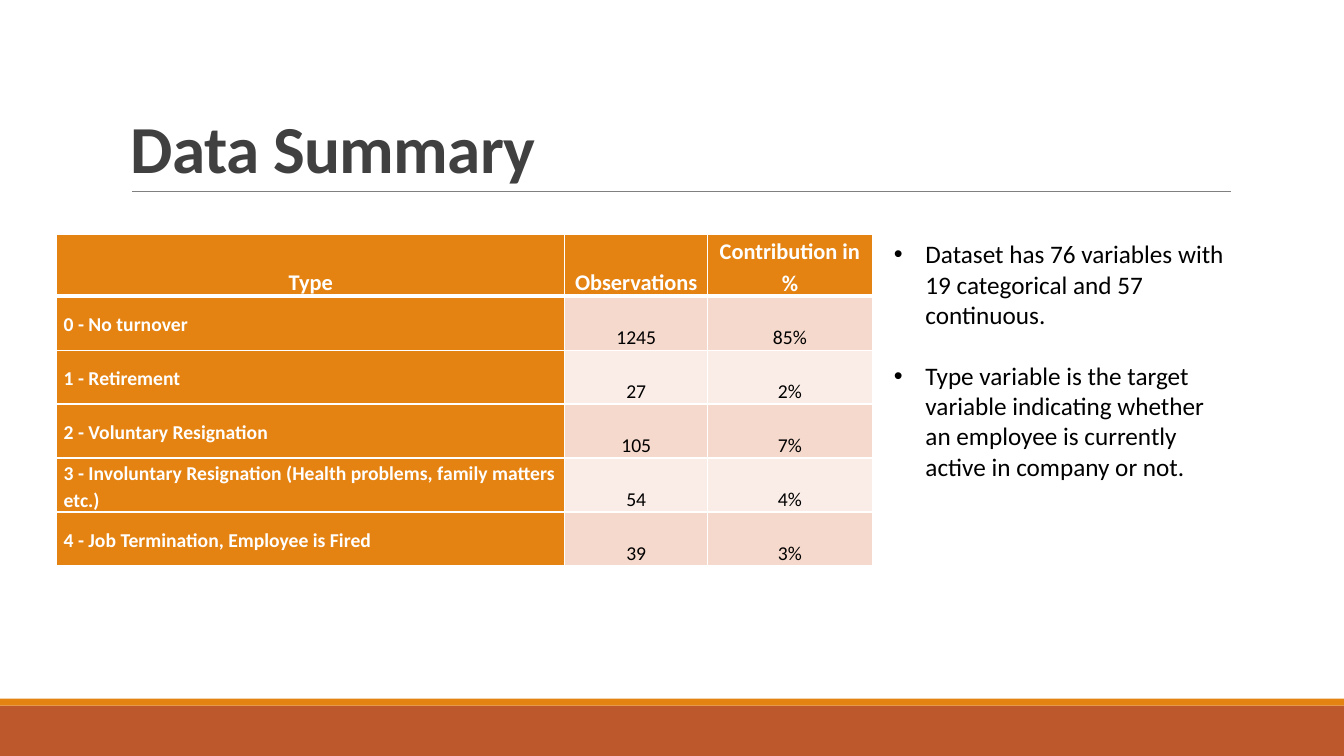
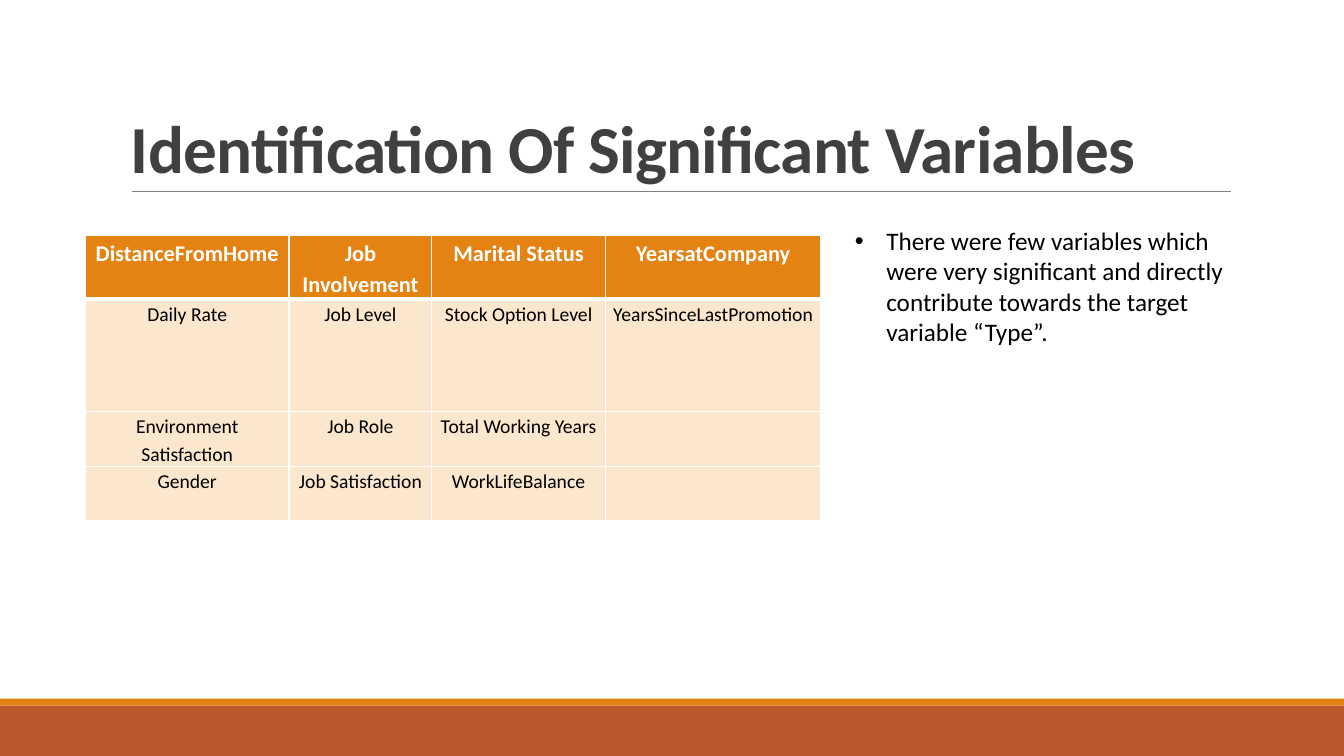
"""Build two slides on employee turnover data, each with a table and bullet points."""

from dataclasses import dataclass

from lxml import etree
from pptx import Presentation
from pptx.dml.color import RGBColor
from pptx.enum.shapes import MSO_CONNECTOR, MSO_SHAPE
from pptx.enum.text import MSO_ANCHOR, PP_ALIGN
from pptx.oxml.ns import qn
from pptx.util import Emu, Pt

RECTANGLE = MSO_SHAPE.RECTANGLE
STRAIGHT = MSO_CONNECTOR.STRAIGHT
TOP, MIDDLE, BOTTOM = MSO_ANCHOR.TOP, MSO_ANCHOR.MIDDLE, MSO_ANCHOR.BOTTOM
LEFT, CENTER = PP_ALIGN.LEFT, PP_ALIGN.CENTER
EMU_PER_PX = 6350
SLIDE_WIDTH, SLIDE_HEIGHT = 1920, 1080
BULLET_INDENT = 45
CELL_INSET = 10


@dataclass(frozen=True)
class Theme:
    font: str = "Calibri"
    accent: str = "E48312"
    footer: str = "BD582C"
    rule: str = "808080"
    title: str = "404040"
    text: str = "000000"
    white: str = "FFFFFF"
    rose: str = "F5D9CC"
    pale_rose: str = "FAEDE7"
    cream: str = "FBE6CE"
    title_size: int = 48
    bullet_size: int = 18
    header_size: int = 16
    cell_size: int = 14
    rule_width: float = 0.5
    border: int = 1
    header_border: int = 3


THEME = Theme()


@dataclass(frozen=True)
class Box:
    left: int
    top: int
    width: int
    height: int


@dataclass(frozen=True)
class TableContent:
    left: int
    top: int
    widths: tuple[int, ...]
    heights: tuple[int, ...]
    rows: tuple[tuple[str, ...], ...]
    bands: tuple[str, ...]
    anchor: MSO_ANCHOR = TOP
    row_headers: bool = False


@dataclass(frozen=True)
class SlideContent:
    title: str
    table: TableContent
    bullet_box: Box
    bullets: tuple[str, ...]


TITLE_BOX = Box(173, 45, 1584, 229)
BANDS = (
    (Box(0, 1008, SLIDE_WIDTH, 72), THEME.footer),
    (Box(0, 998, SLIDE_WIDTH, 10), THEME.accent),
)

SLIDES = (
    SlideContent(
        title="Data Summary",
        table=TableContent(
            left=81,
            top=335,
            widths=(726, 204, 235),
            heights=(77,) * 6,
            rows=(
                ("Type", "Observations", "Contribution in %"),
                ("0 - No turnover", "1245", "85%"),
                ("1 - Retirement", "27", "2%"),
                ("2 - Voluntary Resignation", "105", "7%"),
                ("3 - Involuntary Resignation (Health problems, family matters etc.)", "54", "4%"),
                ("4 - Job Termination, Employee is Fired", "39", "3%"),
            ),
            bands=(THEME.rose, THEME.pale_rose),
            anchor=BOTTOM,
            row_headers=True,
        ),
        bullet_box=Box(1263, 334, 514, 363),
        bullets=(
            "Dataset has 76 variables with 19 categorical and 57 continuous.",
            "Type variable is the target variable indicating whether an employee "
            "is currently active in company or not.",
        ),
    ),
    SlideContent(
        title="Identification Of Significant Variables",
        table=TableContent(
            left=122,
            top=337,
            widths=(291, 204, 248, 308),
            heights=(90, 161, 78, 78),
            rows=(
                ("DistanceFromHome", "Job Involvement", "Marital Status", "YearsatCompany"),
                ("Daily Rate", "Job Level", "Stock Option Level", "YearsSinceLastPromotion"),
                ("Environment Satisfaction", "Job Role", "Total Working Years", ""),
                ("Gender", "Job Satisfaction", "WorkLifeBalance", ""),
            ),
            bands=(THEME.cream,),
        ),
        bullet_box=Box(1207, 315, 563, 189),
        bullets=(
            "There were few variables which were very significant and directly "
            "contribute towards the target variable “Type”.",
        ),
    ),
)


def px(length: int) -> Emu:
    """Turn a length in px into EMU."""
    return Emu(length * EMU_PER_PX)


def place(box: Box) -> tuple[Emu, ...]:
    """Give the left, top, width and height of a box in EMU."""
    return px(box.left), px(box.top), px(box.width), px(box.height)


def write_text(
    paragraph,
    text: str,
    *,
    size: int,
    color: str = THEME.text,
    bold: bool = False,
    align: PP_ALIGN = LEFT,
    line_spacing: float = 1.0,
    tracking: int = 0,
) -> None:
    """Write one formatted run into a paragraph."""
    paragraph.alignment = align
    paragraph.line_spacing = line_spacing
    run = paragraph.add_run()
    run.text = text
    run.font.name = THEME.font
    run.font.size = Pt(size)
    run.font.bold = bold
    run.font.color.rgb = RGBColor.from_string(color)
    if tracking:
        run.font._element.set("spc", str(tracking))


def add_text_frame(slide, box: Box, anchor: MSO_ANCHOR = TOP):
    """Add a wrapping text box and return its text frame."""
    frame = slide.shapes.add_textbox(*place(box)).text_frame
    frame.word_wrap = True
    frame.vertical_anchor = anchor
    return frame


def add_frame(slide, title: str) -> None:
    """Draw the bands, the rule and the title that every slide shares."""
    for box, color in BANDS:
        band = slide.shapes.add_shape(RECTANGLE, *place(box))
        band.shadow.inherit = False
        band.fill.solid()
        band.fill.fore_color.rgb = RGBColor.from_string(color)
        band.line.fill.background()
    rule = slide.shapes.add_connector(STRAIGHT, px(189), px(273), px(1758), px(273))
    rule.line.color.rgb = RGBColor.from_string(THEME.rule)
    rule.line.width = Pt(THEME.rule_width)
    etree.SubElement(rule._element.spPr, qn("a:effectLst"))
    write_text(
        add_text_frame(slide, TITLE_BOX, BOTTOM).paragraphs[0],
        title,
        size=THEME.title_size,
        color=THEME.title,
        bold=True,
        line_spacing=0.85,
        tracking=-50,
    )


def set_borders(cell, top: int, bottom: int) -> None:
    """Give a cell white borders, with top and bottom widths in points."""
    properties = cell._tc.get_or_add_tcPr()
    widths = {"L": THEME.border, "R": THEME.border, "T": top, "B": bottom}
    for position, (side, width) in enumerate(widths.items()):
        line = etree.Element(qn(f"a:ln{side}"), w=str(Pt(width)))
        fill = etree.SubElement(line, qn("a:solidFill"))
        etree.SubElement(fill, qn("a:srgbClr"), val=THEME.white)
        properties.insert(position, line)


def fill_cell(cell, content: TableContent, row: int, column: int) -> None:
    """Write and format one table cell according to its row and column."""
    is_header = row == 0
    is_row_header = content.row_headers and column == 0 and not is_header
    is_accent = is_header or is_row_header
    color = THEME.accent if is_accent else content.bands[(row - 1) % len(content.bands)]
    cell.fill.solid()
    cell.fill.fore_color.rgb = RGBColor.from_string(color)
    set_borders(
        cell,
        top=THEME.header_border if row == 1 else THEME.border,
        bottom=THEME.header_border if is_header else THEME.border,
    )
    cell.margin_left = cell.margin_right = px(CELL_INSET)
    cell.margin_top = cell.margin_bottom = 0
    cell.vertical_anchor = MIDDLE if is_row_header else content.anchor
    text = content.rows[row][column]
    if text:
        write_text(
            cell.text_frame.paragraphs[0],
            text,
            size=THEME.header_size if is_header else THEME.cell_size,
            color=THEME.white if is_accent else THEME.text,
            bold=is_accent,
            align=LEFT if is_row_header else CENTER,
            line_spacing=1.15,
        )


def add_data_table(slide, content: TableContent) -> None:
    """Add a table with its sizes, fills and texts."""
    box = Box(content.left, content.top, sum(content.widths), sum(content.heights))
    table = slide.shapes.add_table(
        len(content.heights), len(content.widths), *place(box)
    ).table
    for column, width in zip(table.columns, content.widths):
        column.width = px(width)
    for row, height in zip(table.rows, content.heights):
        row.height = px(height)
    for row in range(len(content.heights)):
        for column in range(len(content.widths)):
            fill_cell(table.cell(row, column), content, row, column)


def add_bullets(slide, box: Box, bullets: tuple[str, ...]) -> None:
    """Add a bulleted text box with a line of space between its points."""
    frame = add_text_frame(slide, box)
    for index, text in enumerate(bullets):
        paragraph = frame.add_paragraph() if index else frame.paragraphs[0]
        write_text(paragraph, text, size=THEME.bullet_size)
        if index:
            paragraph.space_before = Pt(22)
        properties = paragraph._p.get_or_add_pPr()
        properties.set("marL", str(px(BULLET_INDENT)))
        properties.set("indent", str(px(-BULLET_INDENT)))
        etree.SubElement(properties, qn("a:buFont"), typeface="Arial")
        etree.SubElement(properties, qn("a:buChar"), char="•")


def main() -> None:
    """Build all slides and save the presentation."""
    presentation = Presentation()
    presentation.slide_width = px(SLIDE_WIDTH)
    presentation.slide_height = px(SLIDE_HEIGHT)
    blank_layout = presentation.slide_layouts[6]
    for content in SLIDES:
        slide = presentation.slides.add_slide(blank_layout)
        add_frame(slide, content.title)
        add_data_table(slide, content.table)
        add_bullets(slide, content.bullet_box, content.bullets)
    presentation.save("out.pptx")


if __name__ == "__main__":
    main()
